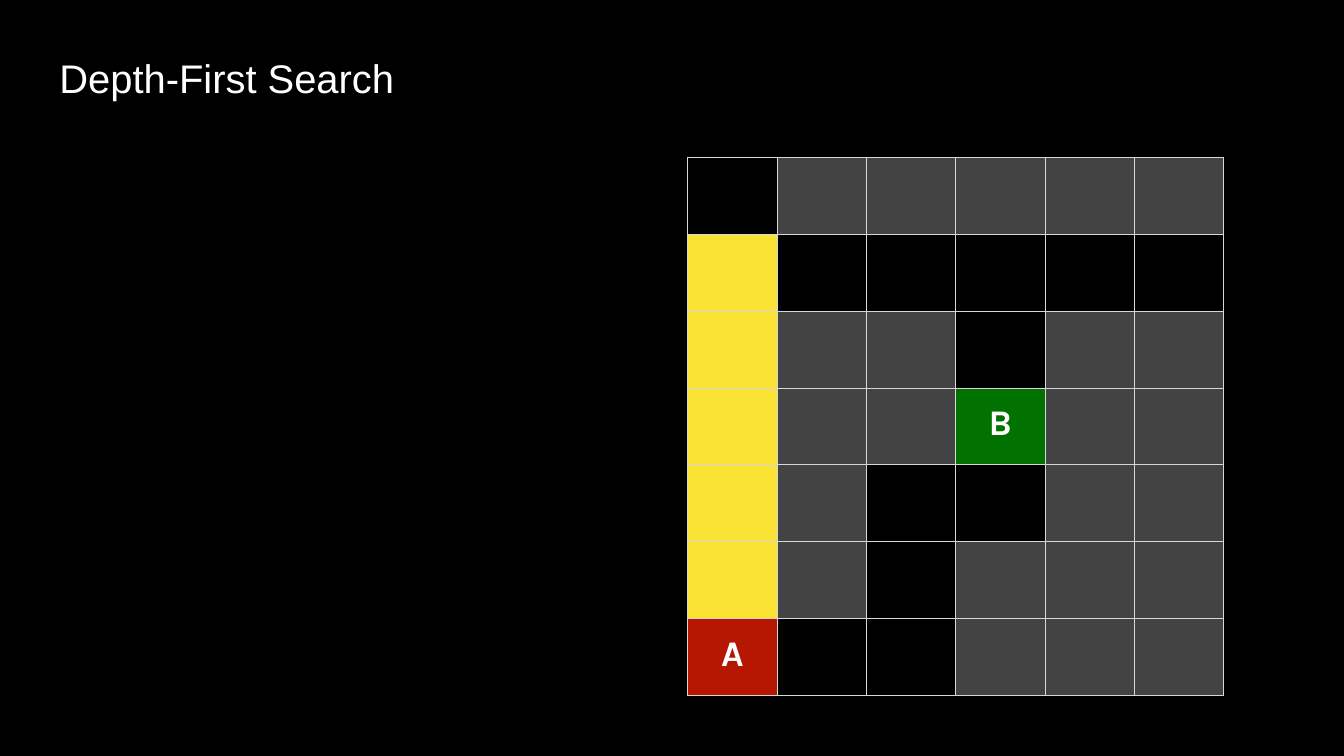
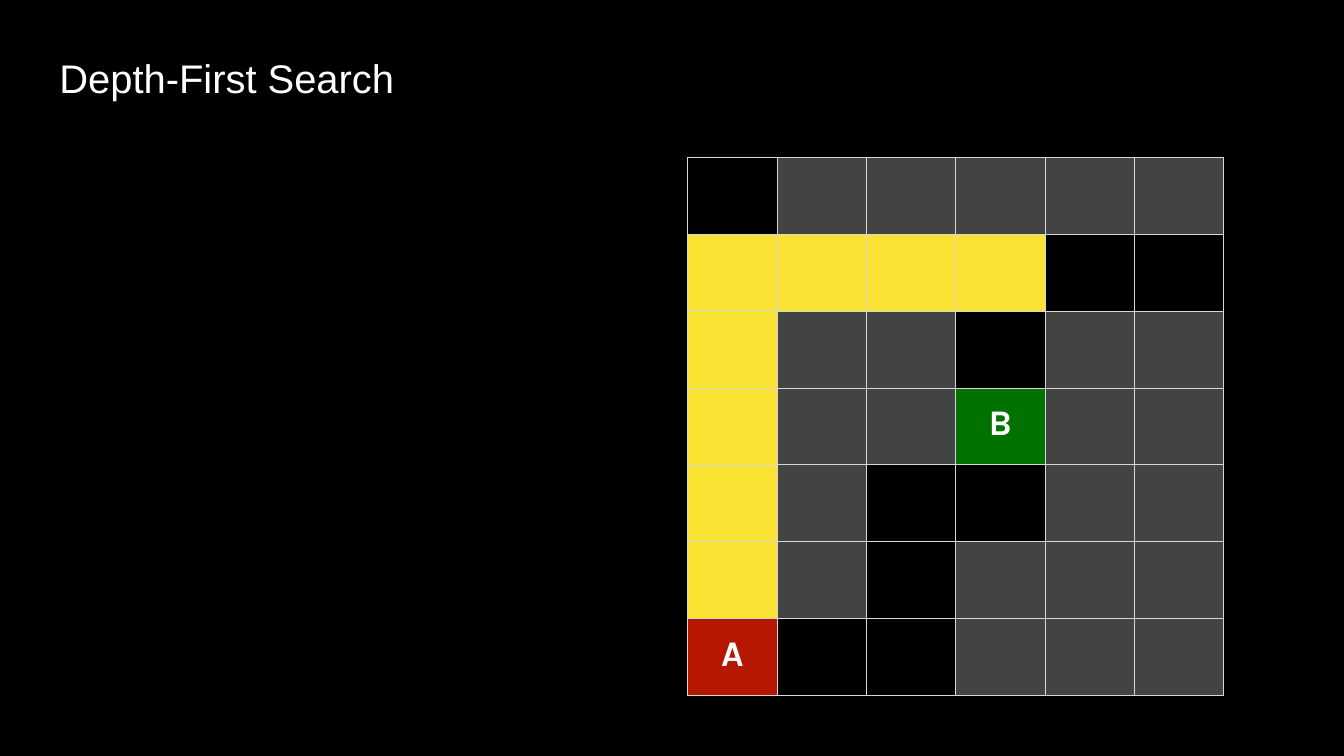
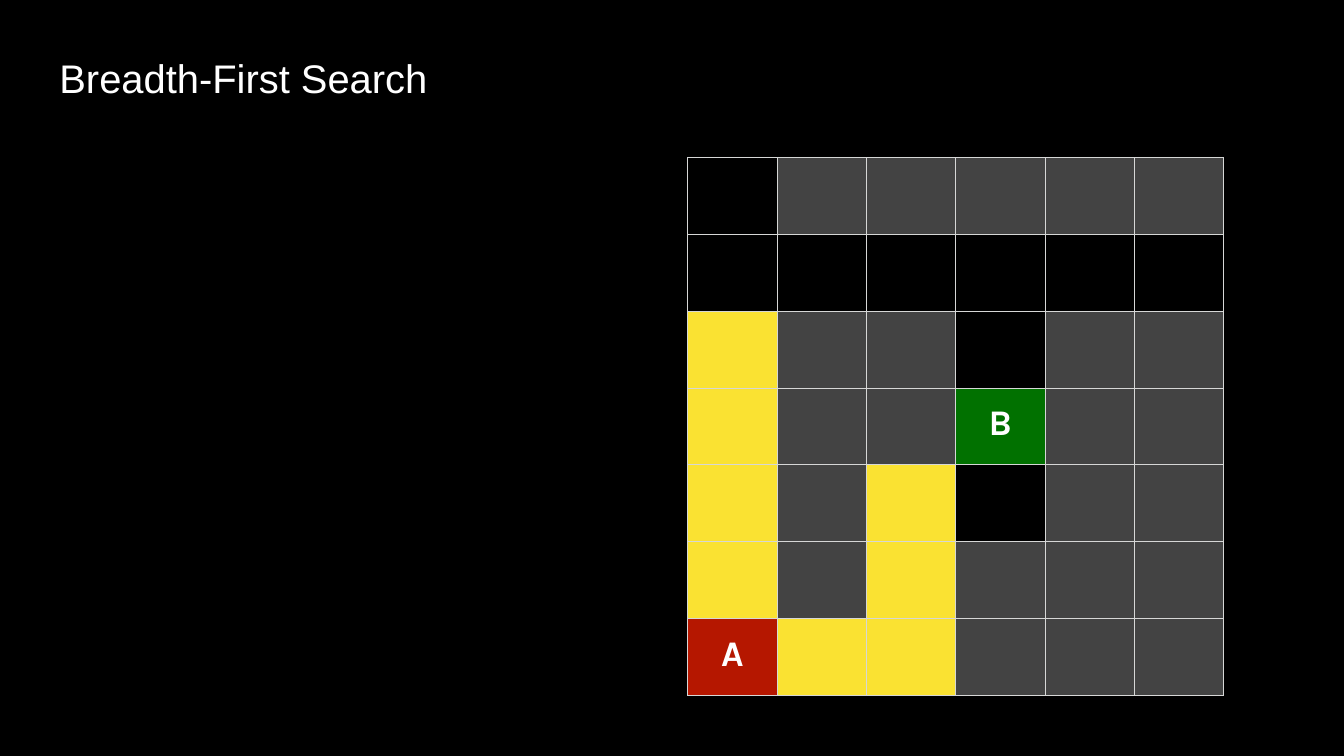
from pptx import Presentation
from pptx.dml.color import RGBColor
from pptx.enum.shapes import MSO_SHAPE
from pptx.enum.text import PP_ALIGN
from pptx.oxml import parse_xml
from pptx.oxml.ns import nsdecls
from pptx.util import Cm, Pt

# Shared look
BLACK = RGBColor(0x00, 0x00, 0x00)
WHITE = RGBColor(0xFF, 0xFF, 0xFF)
WALL = RGBColor(0x43, 0x43, 0x43)
EXPLORED = RGBColor(0xFA, 0xE2, 0x32)
START = RGBColor(0xB5, 0x17, 0x00)
GOAL = RGBColor(0x01, 0x71, 0x00)
GRID_LINE = RGBColor(0xD6, 0xD7, 0xD6)

CELL_WIDTH, CELL_HEIGHT = Cm(3.71), Cm(3.19)
CELL_FILLS = {"#": WALL, "*": EXPLORED, "A": START, "B": GOAL}

# The maze: # is a wall, A the start, B the goal
MAZE = [
    ".#####",
    "......",
    ".##.##",
    ".##B##",
    ".#..##",
    ".#.###",
    "A..###",
]

# Each slide: title and explored cells as (row, column)
LEFT_COLUMN = {(row, 0) for row in range(1, 6)}
STEPS = [
    ("Depth-First Search", LEFT_COLUMN),
    ("Depth-First Search", LEFT_COLUMN | {(1, column) for column in range(1, 4)}),
    ("Breadth-First Search",
     LEFT_COLUMN - {(1, 0)} | {(6, 1), (6, 2), (5, 2), (4, 2)}),
]


def add_title(slide, text):
    box = slide.shapes.add_textbox(Cm(1.73), Cm(1.09), Cm(32.84), Cm(4.52))
    frame = box.text_frame
    frame.word_wrap = True
    frame.margin_left, frame.margin_top = Cm(0.74), Cm(1.13)
    frame.margin_right = frame.margin_bottom = 0
    paragraph = frame.paragraphs[0]
    paragraph.text = text
    paragraph.font.name = "Arial"
    paragraph.font.size = Pt(47)
    paragraph.font.color.rgb = WHITE


def style_cell(cell, mark):
    if mark in CELL_FILLS:
        cell.fill.solid()
        cell.fill.fore_color.rgb = CELL_FILLS[mark]
    else:
        cell.fill.background()

    # Borders come before the fill in the cell properties
    properties = cell._tc.get_or_add_tcPr()
    for position, side in enumerate("LRTB"):
        properties.insert(position, parse_xml(
            f'<a:ln{side} {nsdecls("a")} w="12700"><a:solidFill>'
            f'<a:srgbClr val="{GRID_LINE}"/></a:solidFill></a:ln{side}>'))

    if mark in "AB":
        cell.margin_left = cell.margin_right = cell.margin_bottom = 0
        cell.margin_top = Cm(0.62)
        paragraph = cell.text_frame.paragraphs[0]
        paragraph.text = mark
        paragraph.alignment = PP_ALIGN.CENTER
        paragraph.font.name = "Karla"
        paragraph.font.size = Pt(42.5)
        paragraph.font.bold = True
        paragraph.font.color.rgb = WHITE


presentation = Presentation()
presentation.slide_width, presentation.slide_height = Cm(55.85), Cm(31.42)

# One slide per search step
for title, explored in STEPS:
    slide = presentation.slides.add_slide(presentation.slide_layouts[6])

    # Black backdrop
    backdrop = slide.shapes.add_shape(
        MSO_SHAPE.RECTANGLE, 0, 0,
        presentation.slide_width, presentation.slide_height)
    backdrop.shadow.inherit = False
    backdrop.fill.solid()
    backdrop.fill.fore_color.rgb = BLACK
    backdrop.line.fill.background()

    # Maze table
    row_count, column_count = len(MAZE), len(MAZE[0])
    table = slide.shapes.add_table(
        row_count, column_count, Cm(28.58), Cm(6.55),
        CELL_WIDTH * column_count, CELL_HEIGHT * row_count).table
    table.first_row = table.horz_banding = False
    for row, marks in enumerate(MAZE):
        for column, mark in enumerate(marks):
            style_cell(table.cell(row, column),
                       "*" if (row, column) in explored else mark)

    add_title(slide, title)

presentation.save("out.pptx")
